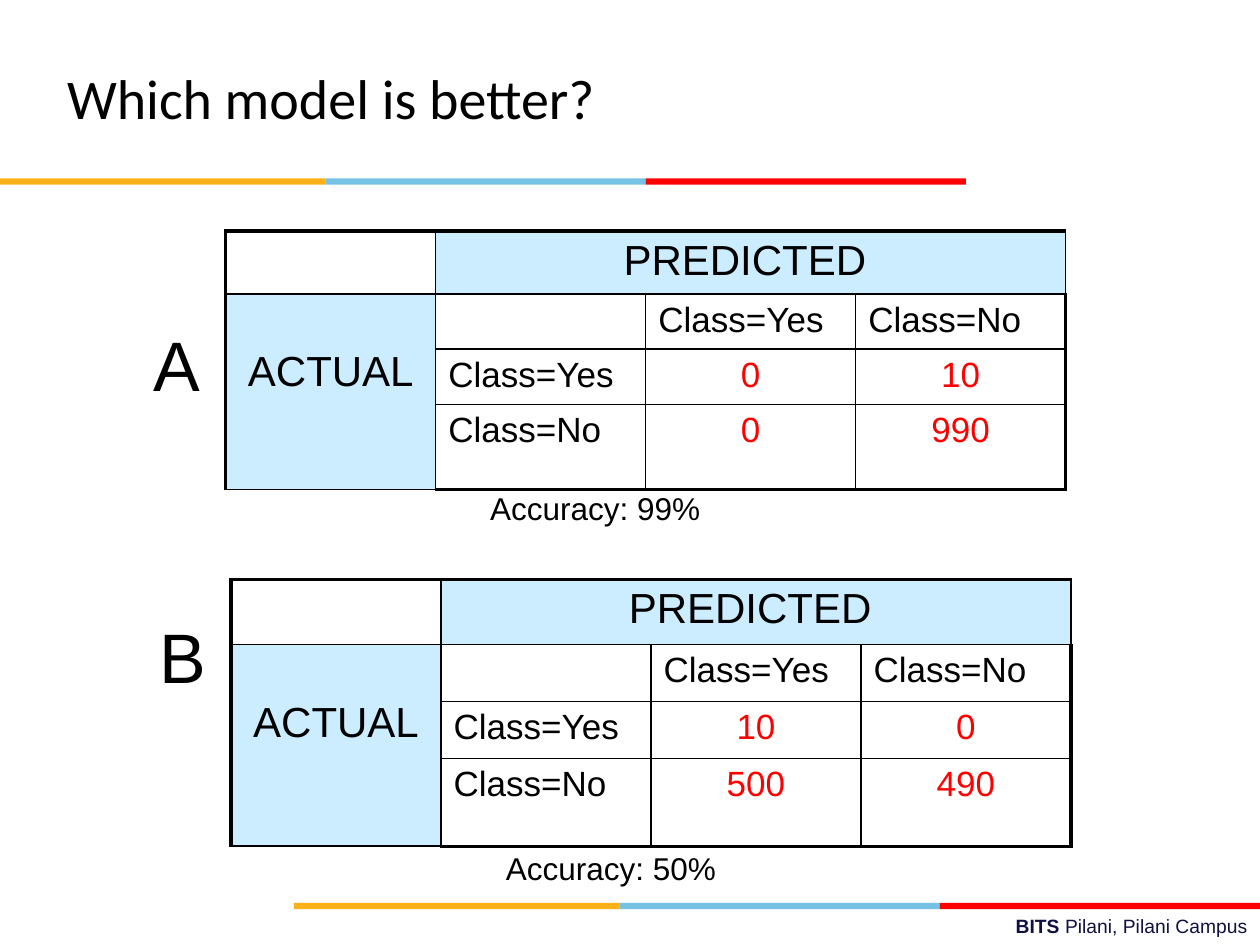
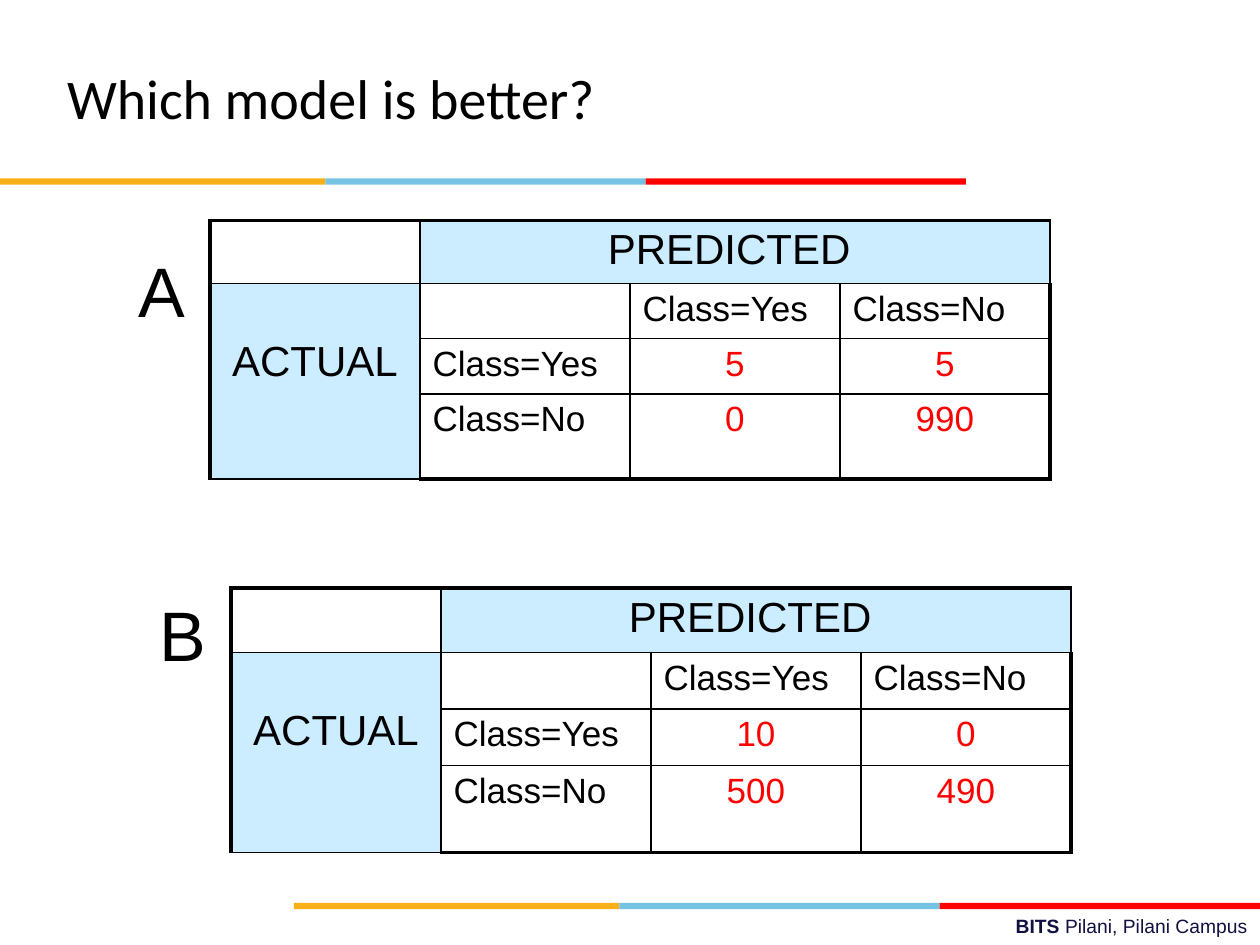
from dataclasses import dataclass

from lxml import etree
from pptx import Presentation
from pptx.dml.color import RGBColor
from pptx.enum.shapes import MSO_SHAPE
from pptx.enum.text import MSO_ANCHOR, PP_ALIGN
from pptx.oxml.ns import qn
from pptx.util import Emu, Inches, Pt

RECT = MSO_SHAPE.RECTANGLE
LEFT, MID, RIGHT = PP_ALIGN.LEFT, PP_ALIGN.CENTER, PP_ALIGN.RIGHT
TOP, CENTER = MSO_ANCHOR.TOP, MSO_ANCHOR.MIDDLE

UNIT = Inches(10) // 120
BLACK, WHITE, RED, NAVY = "000000", "FFFFFF", "FF0000", "101141"
GOLD, BLUE, PALE = "FCB017", "76C2E5", "CCECFF"
BAND = ((GOLD, 31), (BLUE, 30.5), (RED, 30.5))
SHARES = (20, 17.5, 17.5, 27)
SIDE = 20
THIN, THICK = 1, 2.25


@dataclass
class Note:
    text: str
    left: float
    top: float


@dataclass
class Model:
    name: Note
    left: float
    top: float
    height: float
    counts: tuple
    score: Note | None = None


@dataclass
class Page:
    title: str
    models: tuple


PAGES = (
    Page("Which model is better?", (
        Model(Note("A", 13.45, 30), 21.5, 22, 24.6, ((0, 10), (0, 990)),
              Note("Accuracy: 99%", 45.5, 46)),
        Model(Note("B", 14, 57.85), 22, 55.2, 25.4, ((10, 0), (500, 490)),
              Note("Accuracy: 50%", 47, 80.3)),
    )),
    Page("Which model is better?", (
        Model(Note("A", 12, 23), 20, 21, 24.6, ((5, 5), (0, 990))),
        Model(Note("B", 14, 55.7), 22, 56, 25.2, ((10, 0), (500, 490))),
    )),
)


def grid(*steps: float) -> list[Emu]:
    return [Emu(round(step * UNIT)) for step in steps]


def color(code: str) -> RGBColor:
    return RGBColor.from_string(code)


def write(frame, *parts: str, size: float, font: str = "Arial",
          ink: str = BLACK, align=LEFT, lead: bool = False) -> None:
    para = frame.paragraphs[0]
    para.alignment = align
    for spot, part in enumerate(parts):
        run = para.add_run()
        run.text = part
        run.font.size = Pt(size)
        run.font.name = font
        run.font.bold = lead and spot == 0
        run.font.color.rgb = color(ink)


def label(slide, box: tuple, *parts: str, anchor=TOP, **style) -> None:
    frame = slide.shapes.add_textbox(*grid(*box)).text_frame
    frame.word_wrap = True
    frame.vertical_anchor = anchor
    write(frame, *parts, **style)


def band(slide, left: float, top: float) -> None:
    for tint, width in BAND:
        bar = slide.shapes.add_shape(RECT, *grid(left, top, width, 0.6))
        bar.shadow.inherit = False
        bar.fill.solid()
        bar.fill.fore_color.rgb = color(tint)
        bar.line.fill.background()
        left += width


def border(cell, row: int, col: int) -> None:
    props = cell._tc.get_or_add_tcPr()
    edges = (("L", col == 0), ("R", col == 3), ("T", row == 0), ("B", row == 3))
    for spot, (side, outer) in enumerate(edges):
        line = etree.Element(qn(f"a:ln{side}"), w=str(Pt(THICK if outer else THIN)))
        fill = etree.SubElement(line, qn("a:solidFill"))
        etree.SubElement(fill, qn("a:srgbClr"), val=BLACK)
        props.insert(spot, line)


def matrix(slide, model: Model) -> None:
    box = grid(model.left, model.top, 4 * SIDE, model.height)
    table = slide.shapes.add_table(4, 4, *box).table
    table.first_row = table.horz_banding = False
    for column in table.columns:
        column.width = grid(SIDE)[0]
    for row, share in zip(table.rows, SHARES):
        row.height = grid(model.height * share / sum(SHARES))[0]
    classes = ("Class=Yes", "Class=No")
    rows = [("", "PREDICTED ", "", ""), ("ACTUAL", "", *classes)]
    rows += [("", name, *pair) for name, pair in zip(classes, model.counts)]
    for r, texts in enumerate(rows):
        for c, text in enumerate(texts):
            cell = table.cell(r, c)
            head = (r == 0) != (c == 0)
            value = r > 1 and c > 1
            cell.fill.solid()
            cell.fill.fore_color.rgb = color(PALE if head else WHITE)
            border(cell, r, c)
            if text != "":
                write(cell.text_frame, str(text), size=24 if head else 20,
                      ink=RED if value else BLACK,
                      align=MID if head or value else LEFT)
    table.cell(0, 1).merge(table.cell(0, 3))
    actual = table.cell(1, 0)
    actual.merge(table.cell(3, 0))
    actual.margin_top = grid(5.2)[0]


def build(deck, page: Page) -> None:
    slide = deck.slides.add_slide(deck.slide_layouts[6])
    label(slide, (43, 86.5, 77, 3.5), "BITS ", "Pilani, Pilani Campus",
          size=11, ink=NAVY, align=RIGHT, lead=True)
    band(slide, 28, 86)
    band(slide, 0, 17)
    label(slide, (5.2, 3.6, 80.3, 11.2), page.title, size=32,
          font="Calibri", anchor=CENTER)
    for model in page.models:
        matrix(slide, model)
        name, score = model.name, model.score
        label(slide, (name.left, name.top, 8, 9.2), name.text, size=40)
        if score:
            label(slide, (score.left, score.top, 24, 4.8), score.text, size=18)


def main() -> None:
    deck = Presentation()
    deck.slide_width, deck.slide_height = grid(120, 90)
    for page in PAGES:
        build(deck, page)
    deck.save("out.pptx")


if __name__ == "__main__":
    main()
